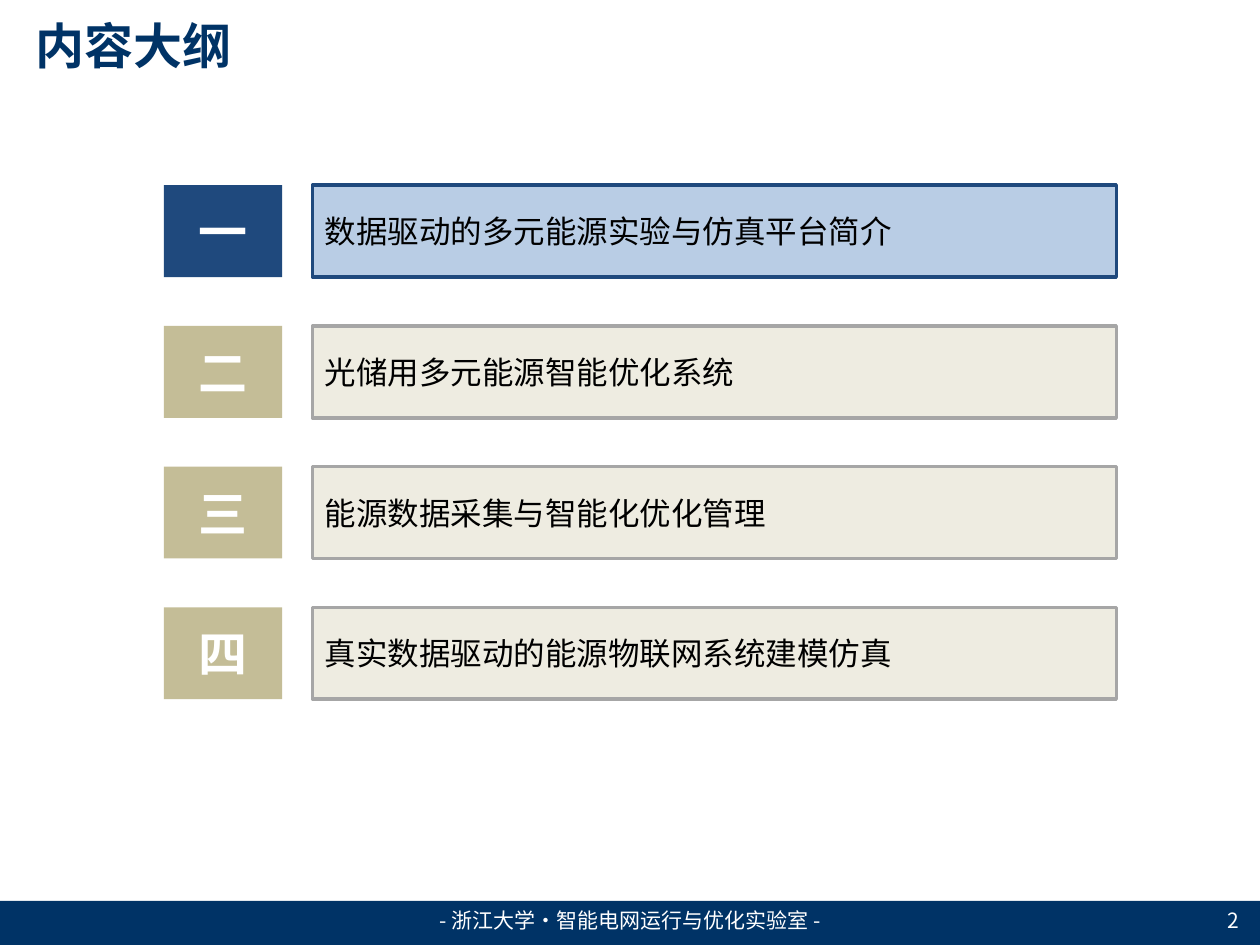
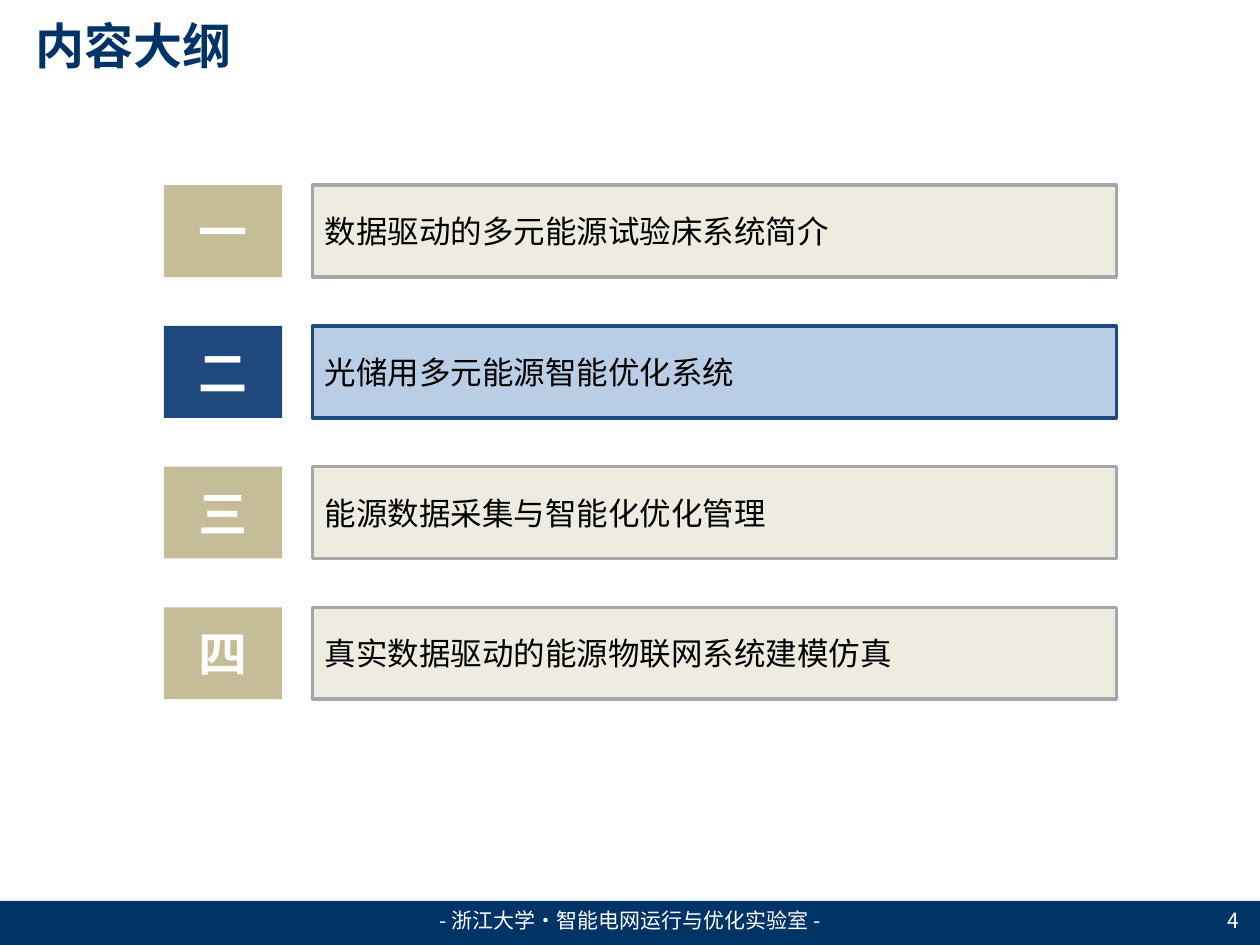
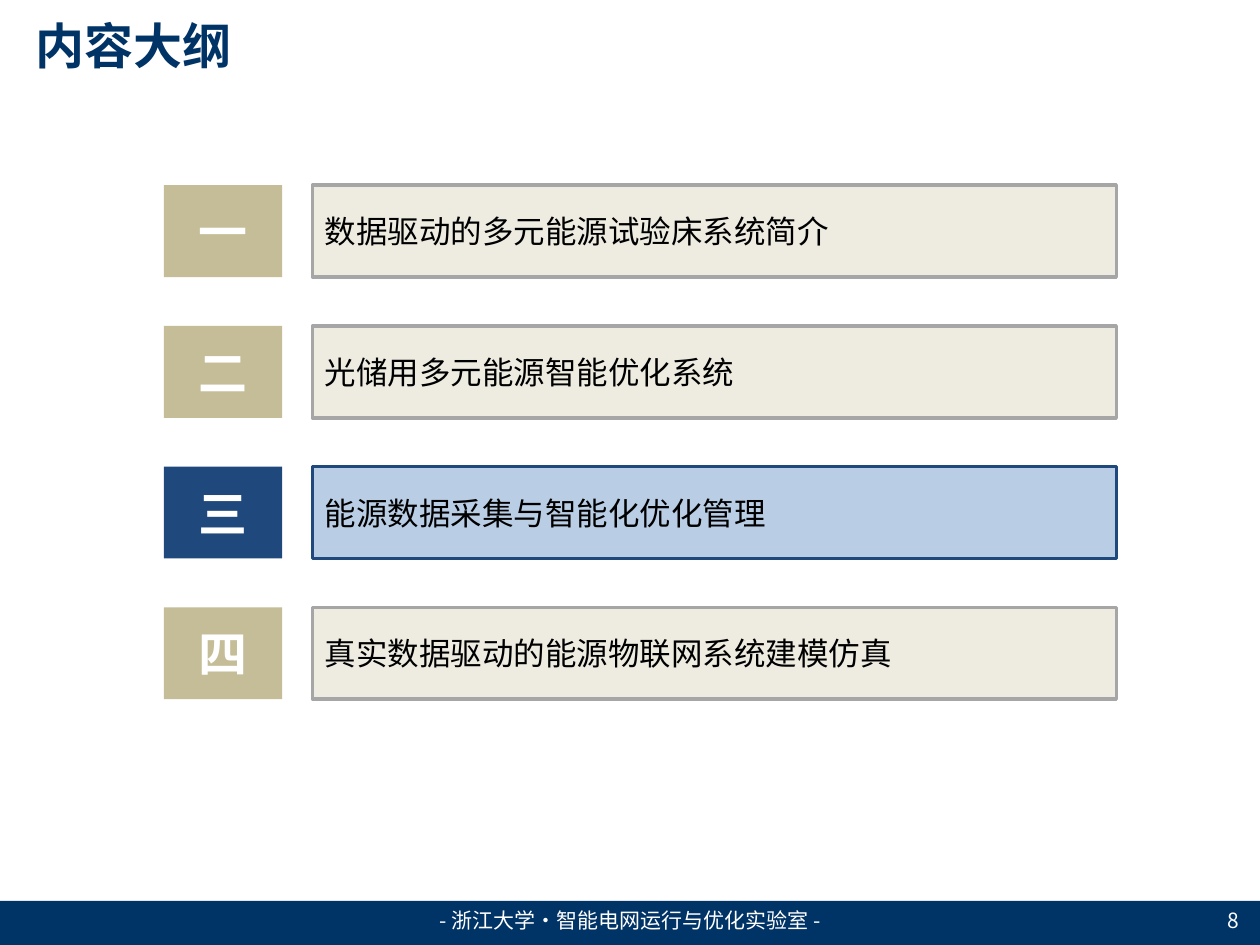
from pptx import Presentation
from pptx.dml.color import RGBColor as RGB
from pptx.enum.shapes import MSO_SHAPE as Shape
from pptx.enum.text import MSO_ANCHOR as Anchor, MSO_AUTO_SIZE as Fit, PP_ALIGN as Align
from pptx.oxml.ns import qn
from pptx.util import Inches, Pt

# Content
TITLE = "内容大纲"
FOOTER = "- 浙江大学·智能电网运行与优化实验室 -"
MARKS = "一二三四"
FIRST = "数据驱动的多元能源实验与仿真平台简介"
FIRST_ALT = "数据驱动的多元能源试验床系统简介"
REST = ["光储用多元能源智能优化系统", "能源数据采集与智能化优化管理", "真实数据驱动的能源物联网系统建模仿真"]
# Page number, first topic, active row
PAGES = [("2", FIRST, 0), ("4", FIRST_ALT, 1), ("8", FIRST_ALT, 2)]

# Style
FONT = "Noto Sans CJK SC"
NAVY = RGB(0x00, 0x33, 0x66)
WHITE = RGB(0xFF, 0xFF, 0xFF)
BLACK = RGB(0x00, 0x00, 0x00)
BLUE = RGB(0x1F, 0x49, 0x7D)
SKY = RGB(0xB9, 0xCD, 0xE5)
SAND = RGB(0xC4, 0xBD, 0x97)
CREAM = RGB(0xEE, 0xEC, 0xE1)
GREY = RGB(0xA6, 0xA6, 0xA6)
ACTIVE = (BLUE, SKY, BLUE)  # mark, bar, outline
IDLE = (SAND, CREAM, GREY)

# Grid in inches
WIDE, HIGH = 10, 7.5
BAND = 0.35
TOP, LAST, ROW = 1.47, 4.82, 0.73
PITCH = (LAST - TOP) / (len(MARKS) - 1)
MARK_X, MARK_W = 1.3, 0.94
BAR_X, BAR_W = 2.48, 6.38


def write(shape, text, size, color, align=Align.LEFT, bold=False):
    frame = shape.text_frame
    frame.text = text
    frame.word_wrap = True
    frame.auto_size = Fit.NONE
    frame.vertical_anchor = Anchor.MIDDLE
    para = frame.paragraphs[0]
    para.alignment = align
    for run in para.runs:
        font = run.font
        font.name, font.size, font.bold = FONT, Pt(size), bold
        font.color.rgb = color
        props = run._r.get_or_add_rPr()
        props.append(props.makeelement(qn("a:ea"), {"typeface": FONT}))


def rect(slide, box, fill, line=None):
    shape = slide.shapes.add_shape(Shape.RECTANGLE, *map(Inches, box))
    shape.shadow.inherit = False
    shape.fill.solid()
    shape.fill.fore_color.rgb = fill
    if line is None:
        shape.line.fill.background()
    else:
        shape.line.color.rgb = line
        shape.line.width = Pt(2)
    return shape


def label(slide, box, text, align):
    shape = slide.shapes.add_textbox(*map(Inches, box))
    write(shape, text, 12, WHITE, align)
    shape.text_frame.margin_top = shape.text_frame.margin_bottom = 0


def frame(slide, page):
    # Title, footer band and page number
    title = slide.shapes.title
    title.left, title.top, title.width, title.height = map(Inches, (0.18, 0.08, 8.36, 0.55))
    write(title, TITLE, 28, NAVY, bold=True)
    rect(slide, (0, HIGH - BAND, WIDE, BAND), NAVY)
    label(slide, (7.6, 7.1, 2.33, 0.4), page, Align.RIGHT)
    label(slide, (3.27, 7.18, 3.46, 0.24), FOOTER, Align.CENTER)


def outline(slide, topics, active):
    # One numbered bar per topic
    for i, (mark, topic) in enumerate(zip(MARKS, topics)):
        dark, light, edge = ACTIVE if i == active else IDLE
        y = TOP + i * PITCH
        bar = rect(slide, (BAR_X, y, BAR_W, ROW), light, edge)
        write(bar, topic, 18, BLACK)
        tile = rect(slide, (MARK_X, y, MARK_W, ROW), dark)
        write(tile, mark, 28, WHITE, Align.CENTER, True)


def main():
    deck = Presentation()
    deck.slide_width, deck.slide_height = Inches(WIDE), Inches(HIGH)
    for page, first, active in PAGES:
        slide = deck.slides.add_slide(deck.slide_layouts[5])
        frame(slide, page)
        outline(slide, [first, *REST], active)
    deck.save("out.pptx")


if __name__ == "__main__":
    main()
